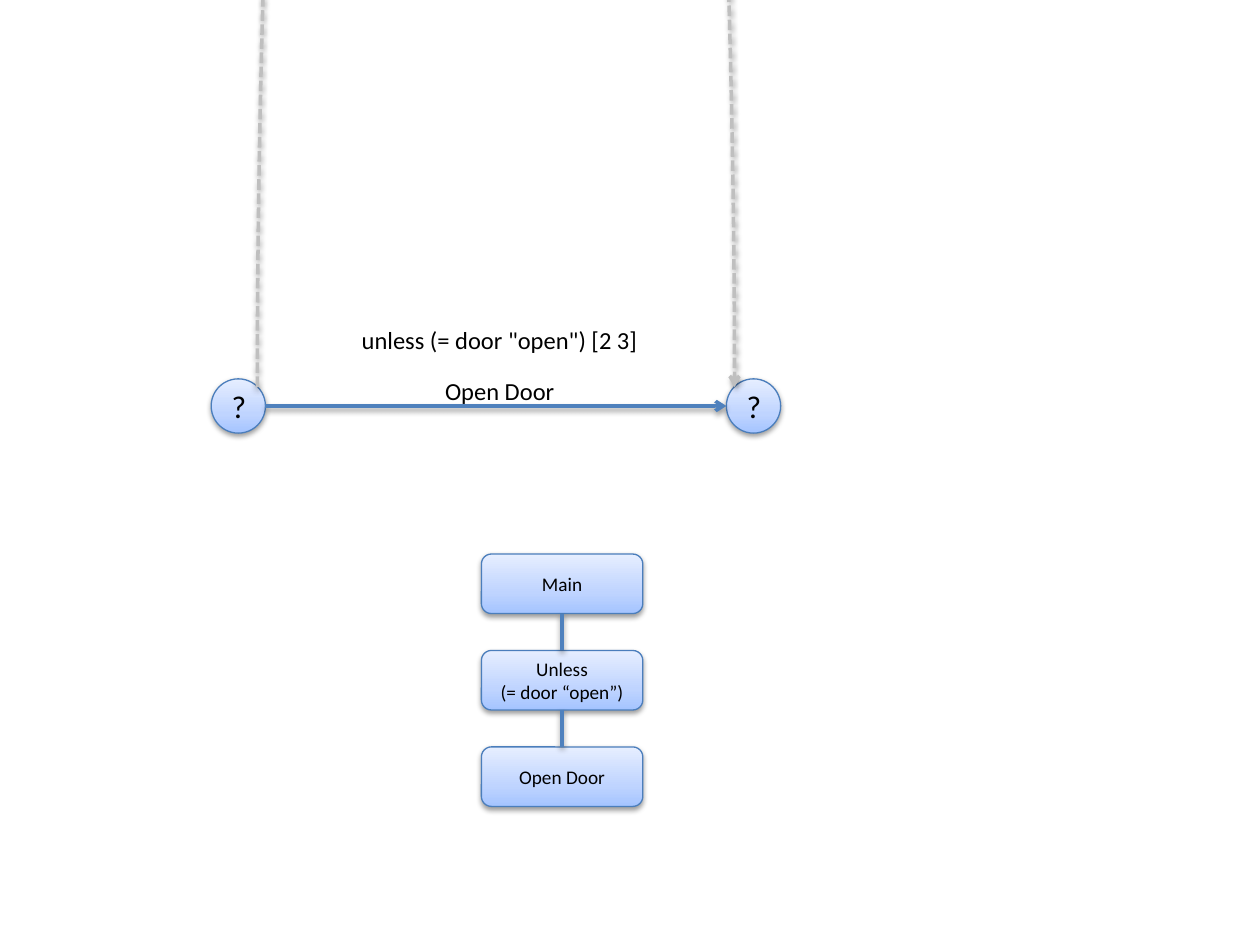
from lxml.etree import SubElement
from pptx import Presentation
from pptx.dml.color import RGBColor
from pptx.enum.dml import MSO_LINE
from pptx.enum.shapes import MSO_CONNECTOR, MSO_SHAPE
from pptx.enum.text import MSO_ANCHOR, PP_ALIGN
from pptx.oxml.ns import qn
from pptx.util import Pt

BLACK = RGBColor(0x00, 0x00, 0x00)
EDGE = RGBColor(0x4B, 0x7E, 0xBC)
BLUE = RGBColor(0x4F, 0x81, 0xBD)
GRAY = RGBColor(0xBF, 0xBF, 0xBF)
GRADIENT = {0: RGBColor(0xA4, 0xC4, 0xFF), 35: RGBColor(0xBF, 0xD4, 0xFF),
            100: RGBColor(0xE6, 0xEE, 0xFF)}


def sub(parent, tag, **attrs):
    """Append a DrawingML element and return it."""
    return SubElement(parent, qn(tag), {k: str(v) for k, v in attrs.items()})


def add_shadow(sp):
    """Give a shape or connector the soft shadow below it."""
    effects = sub(sp._element.spPr, "a:effectLst")
    shadow = sub(effects, "a:outerShdw", blurRad=Pt(3.1), dist=Pt(1.6),
                 dir=5400000, rotWithShape=0)
    sub(sub(shadow, "a:srgbClr", val=BLACK), "a:alpha", val=38000)


def write(sp, text, size):
    """Put centred lines of text into a shape."""
    tf = sp.text_frame
    tf.word_wrap = True
    tf.text = text
    for p in tf.paragraphs:
        p.alignment = PP_ALIGN.CENTER
        for r in p.runs:
            for name, value in {"name": "Calibri", "size": Pt(size)}.items():
                setattr(r.font, name, value)
            r.font.color.rgb = BLACK


def add_node(s, kind, box, text, size):
    """Add a gradient node with its text."""
    sp = s.shapes.add_shape(kind, *map(Pt, box))
    sp.fill.gradient()
    sp.fill.gradient_angle = 90
    stops = sp._element.spPr.find(".//" + qn("a:gsLst"))
    for stop in list(stops):
        stops.remove(stop)
    for pos, color in GRADIENT.items():
        sub(sub(stops, "a:gs", pos=pos * 1000), "a:srgbClr", val=color)
    sp.line.color.rgb = EDGE
    sp.line.width = Pt(0.75)
    add_shadow(sp)
    sp.text_frame.vertical_anchor = MSO_ANCHOR.MIDDLE
    write(sp, text, size)


def add_link(s, ends, kind=MSO_CONNECTOR.STRAIGHT, color=BLUE, dash=None, arrow=False):
    """Add a connector between two points."""
    link = s.shapes.add_connector(kind, *map(Pt, ends))
    link.line.color.rgb = color
    for name, value in {"width": Pt(2), "dash_style": dash}.items():
        setattr(link.line, name, value)
    if arrow:
        sub(link.line._get_or_add_ln(), "a:tailEnd", type="arrow")
    add_shadow(link)
    return link


def add_label(s, box, text):
    """Add a centred text box."""
    sp = s.shapes.add_textbox(*map(Pt, box))
    write(sp, text, 14)


def transition(s, x, y, width, size):
    """Draw two states, the arrow, the arc and the labels between them."""
    for left in (x, x + width - size):
        add_node(s, MSO_SHAPE.OVAL, (left, y, size, size), "?", 18)
    mid = y + size / 2
    add_link(s, (x + size, mid, x + width - size, mid), arrow=True)

    # The arc is a tall, nearly flat connector turned by a quarter
    inset = size * 0.15
    span = width - 2 * (size - inset)
    center, rim = x + width / 2, y + inset
    arc = add_link(s, (center + 0.01, rim + span / 2, center, rim - span / 2),
                   MSO_CONNECTOR.CURVE, GRAY, MSO_LINE.SQUARE_DOT, True)
    spPr = arc._element.spPr
    spPr.find(qn("a:xfrm")).set("rot", "5400000")
    sub(spPr.find(".//" + qn("a:avLst")), "a:gd", name="adj1", fmla="val 2042992900")

    add_label(s, (x + 89.3, y - 4.9, 151.2, 24.2), "Open Door")
    add_label(s, (x + 65.8, y - 34.4, 198, 24.2), 'unless (= door "open") [2 3]')


def call_stack(s, x, y, width, height, step, texts):
    """Draw a column of boxes joined by short lines."""
    center = x + width / 2
    for i, text in enumerate(texts):
        top = y + i * step
        add_node(s, MSO_SHAPE.ROUNDED_RECTANGLE, (x, top, width, height), text, 11)
        if i:
            add_link(s, (center, top - step + height, center, top))


prs = Presentation()
prs.slide_width, prs.slide_height = Pt(720), Pt(540)
s = prs.slides.add_slide(prs.slide_layouts[6])
transition(s, 120.7, 216.5, 325.4, 31)
call_stack(s, 275.1, 316.6, 92.2, 34, 55.1,
           ("Main", "Unless\n(= door “open”)", "Open Door"))
prs.save("out.pptx")
